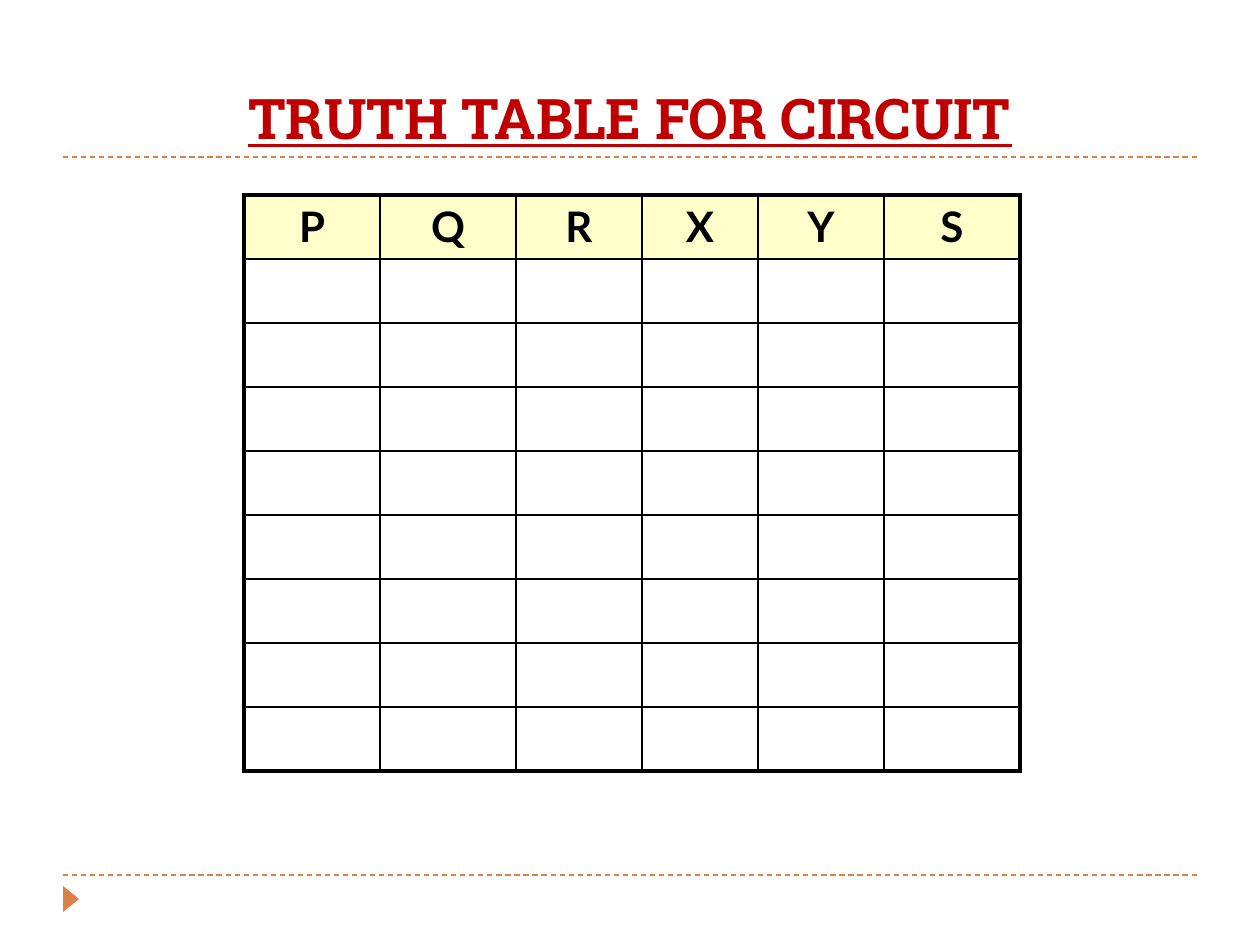
from dataclasses import dataclass

from lxml.etree import SubElement
from pptx import Presentation
from pptx.dml.color import RGBColor
from pptx.enum.dml import MSO_LINE
from pptx.enum.shapes import MSO_CONNECTOR, MSO_SHAPE
from pptx.enum.text import MSO_ANCHOR, PP_ALIGN
from pptx.oxml.ns import qn
from pptx.util import Emu, Pt


@dataclass(frozen=True)
class Theme:
    title_color: str = "C00000"
    accent: str = "DD8047"
    ink: str = "000000"
    header_fill: str = "FFFFCC"
    title_font: str = "Roboto Slab"
    table_font: str = "Lato"
    title_size: int = 32
    header_size: int = 24
    rule_width: float = 0.75
    outer_border: float = 2.25
    inner_border: float = 1


THEME = Theme()
HEADINGS = "PQRXYS"
COLUMN_WIDTHS = (136, 136, 126, 116, 126, 136)
ROW_COUNT = 9
ROW_HEIGHT = 64


def px(length):
    return Emu(length * 914400 // 126)


def color(value):
    return RGBColor.from_string(value)


def set_text(paragraph, text, font_name, size, text_color, underline=False):
    paragraph.text = text
    paragraph.alignment = PP_ALIGN.CENTER
    font = paragraph.font
    font.name = font_name
    font.size = Pt(size)
    font.bold = True
    font.underline = underline
    font.color.rgb = color(text_color)


def add_rule(slide, y):
    rule = slide.shapes.add_connector(
        MSO_CONNECTOR.STRAIGHT, px(63), px(y), px(1197), px(y)
    )
    rule.line.color.rgb = color(THEME.accent)
    rule.line.width = Pt(THEME.rule_width)
    rule.line.dash_style = MSO_LINE.DASH
    SubElement(rule._element.spPr, qn("a:effectLst"))


def add_marker(slide):
    marker = slide.shapes.add_shape(
        MSO_SHAPE.ISOSCELES_TRIANGLE, px(58), px(891), px(26), px(16)
    )
    marker.rotation = 90
    marker.shadow.inherit = False
    marker.fill.solid()
    marker.fill.fore_color.rgb = color(THEME.accent)
    marker.line.fill.background()


def add_title(slide, text):
    box = slide.shapes.add_textbox(px(63), px(21), px(1134), px(136))
    frame = box.text_frame
    frame.word_wrap = True
    frame.vertical_anchor = MSO_ANCHOR.BOTTOM
    set_text(frame.paragraphs[0], text, THEME.title_font, THEME.title_size,
             THEME.title_color, underline=True)


def set_borders(cell, outer_sides):
    properties = cell._tc.get_or_add_tcPr()
    for side in "LRTB":
        width = THEME.outer_border if side in outer_sides else THEME.inner_border
        border = SubElement(properties, qn(f"a:ln{side}"), w=str(int(Pt(width))))
        fill = SubElement(border, qn("a:solidFill"))
        SubElement(fill, qn("a:srgbClr"), val=THEME.ink)


def add_truth_table(slide):
    column_count = len(COLUMN_WIDTHS)
    table = slide.shapes.add_table(
        ROW_COUNT, column_count, px(244), px(195),
        px(sum(COLUMN_WIDTHS)), px(ROW_COUNT * ROW_HEIGHT)
    ).table
    table.first_row = False
    table.horz_banding = False
    for column, width in zip(table.columns, COLUMN_WIDTHS):
        column.width = px(width)
    for row_index, row in enumerate(table.rows):
        row.height = px(ROW_HEIGHT)
        for column_index, cell in enumerate(row.cells):
            edges = {
                "L": column_index == 0,
                "R": column_index == column_count - 1,
                "T": row_index == 0,
                "B": row_index == ROW_COUNT - 1,
            }
            set_borders(cell, [side for side, outer in edges.items() if outer])
            cell.fill.background()
    for cell, heading in zip(table.rows[0].cells, HEADINGS):
        cell.fill.solid()
        cell.fill.fore_color.rgb = color(THEME.header_fill)
        paragraph = cell.text_frame.paragraphs[0]
        set_text(paragraph, heading, THEME.table_font, THEME.header_size, THEME.ink)
        paragraph.space_after = Pt(10)


def main():
    presentation = Presentation()
    presentation.slide_width = px(1260)
    presentation.slide_height = px(945)
    slide = presentation.slides.add_slide(presentation.slide_layouts[6])
    for y in (875, 157):
        add_rule(slide, y)
    add_marker(slide)
    add_title(slide, "TRUTH TABLE FOR CIRCUIT")
    add_truth_table(slide)
    presentation.save("out.pptx")


if __name__ == "__main__":
    main()
